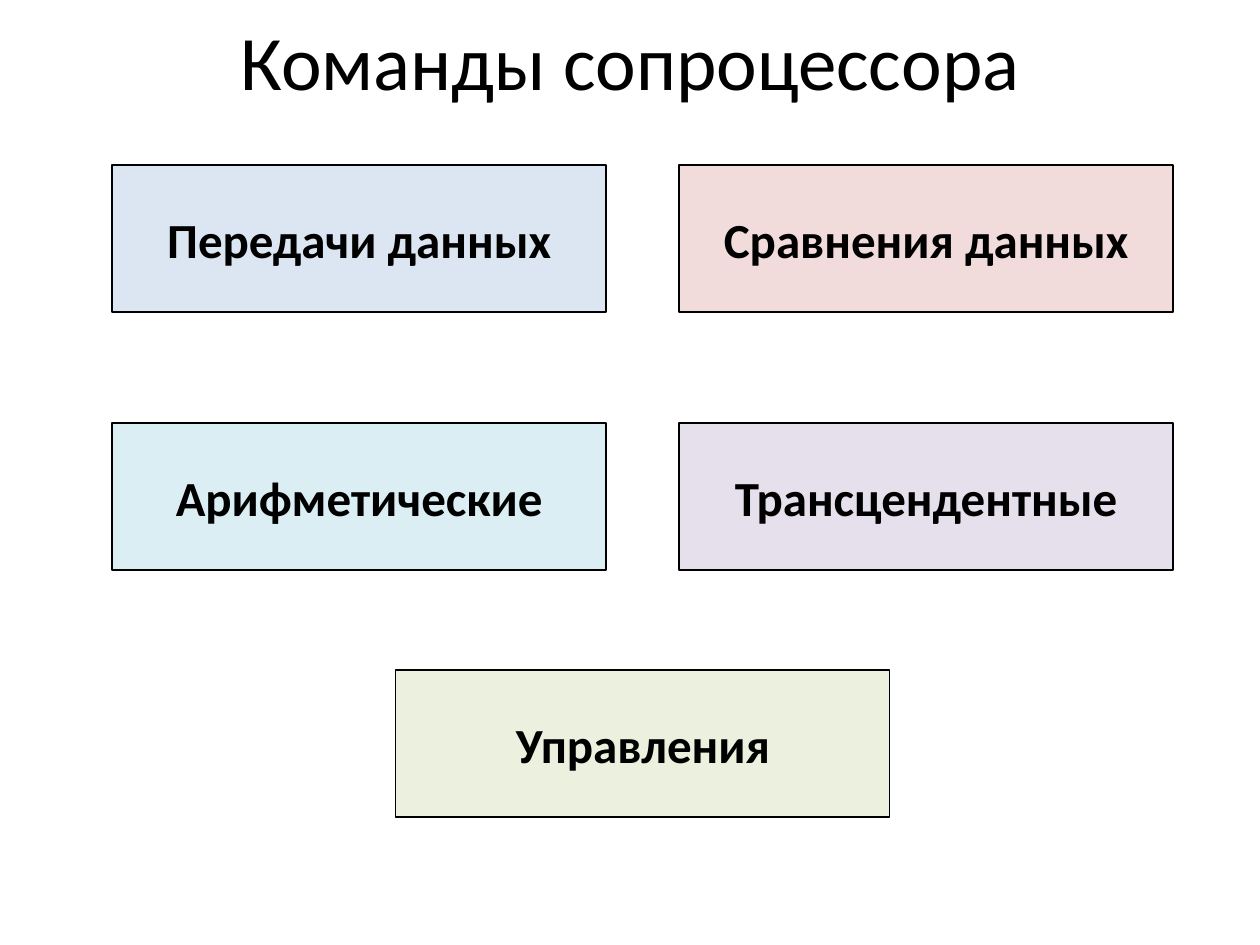
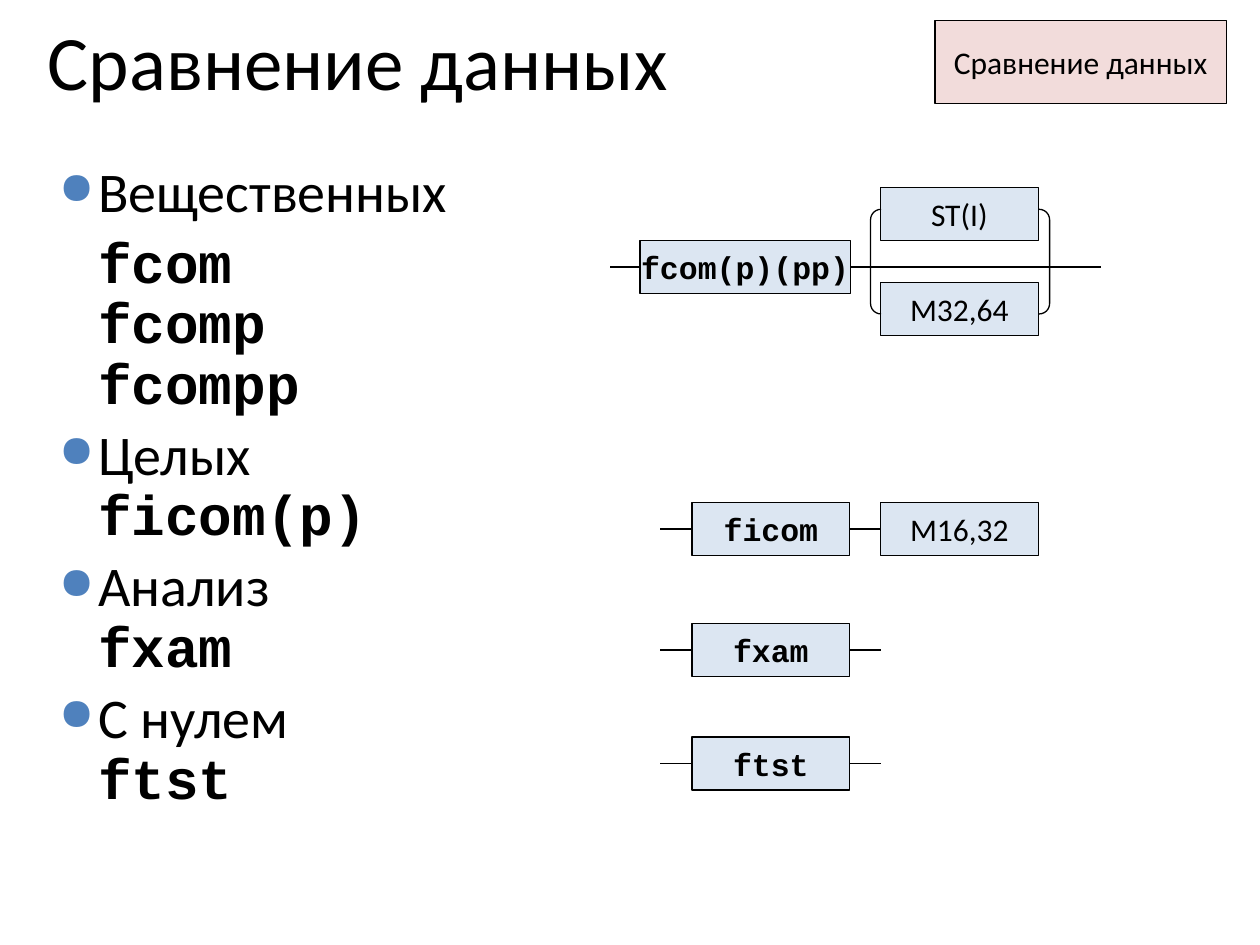
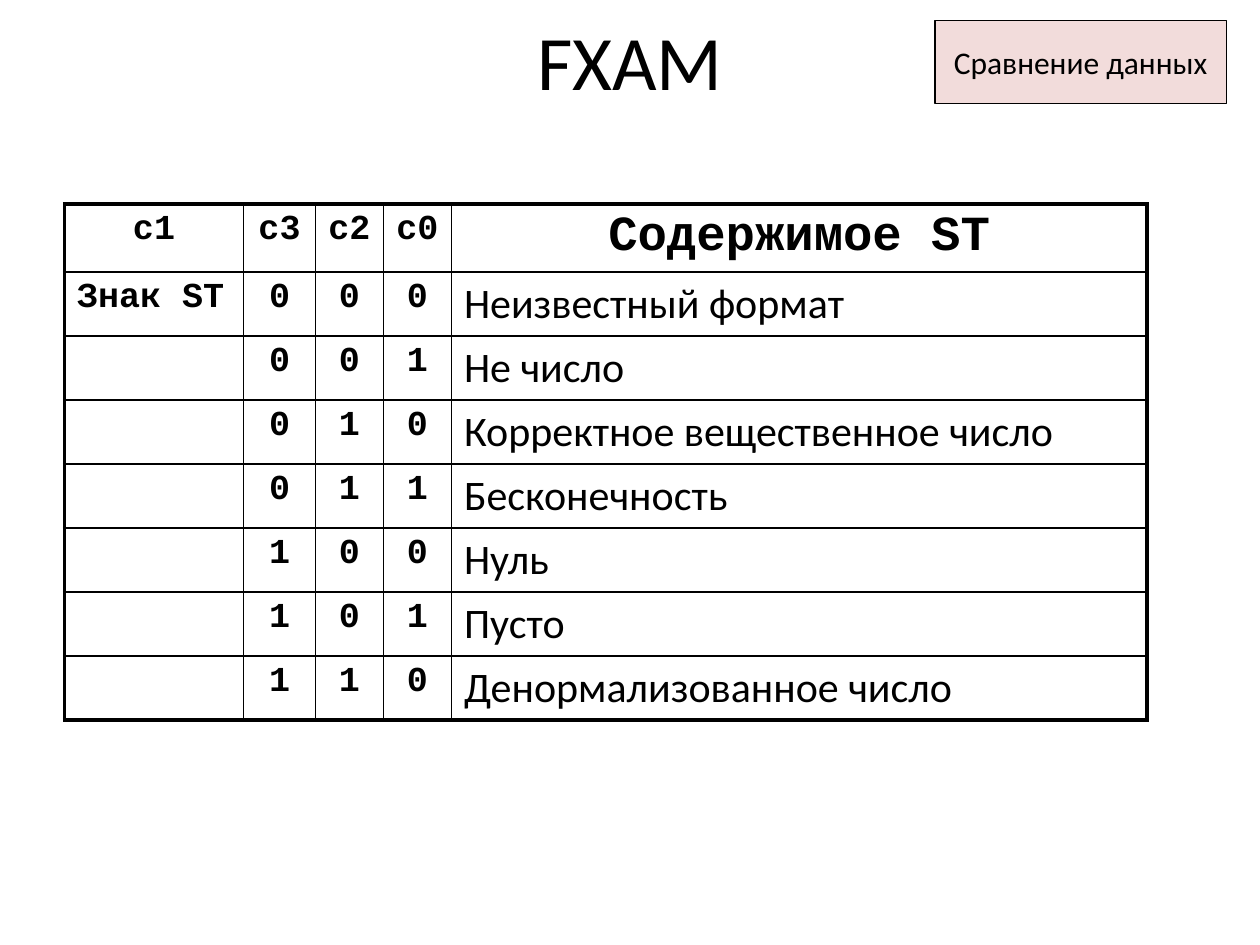
from pptx import Presentation
from pptx.dml.color import RGBColor
from pptx.enum.shapes import MSO_CONNECTOR, MSO_SHAPE
from pptx.enum.text import MSO_ANCHOR, PP_ALIGN
from pptx.oxml import parse_xml
from pptx.oxml.ns import nsdecls
from pptx.util import Cm, Pt

LEFT, CENTER = PP_ALIGN.LEFT, PP_ALIGN.CENTER
TOP, MIDDLE = MSO_ANCHOR.TOP, MSO_ANCHOR.MIDDLE
RECTANGLE, BRACKETS = MSO_SHAPE.RECTANGLE, MSO_SHAPE.DOUBLE_BRACKET
STRAIGHT = MSO_CONNECTOR.STRAIGHT
LEFT_SIDE, RIGHT_SIDE = 1, 3

COLORS = {
    "black": "000000",
    "blue": "DCE6F2",
    "pink": "F2DCDB",
    "cyan": "DBEEF4",
    "violet": "E6E0EC",
    "green": "EBF1DE",
    "bullet": "4F81BD",
}
TITLE = {"name": "Calibri", "size": Pt(44), "bold": False}
GROUP = {"name": "Calibri", "size": Pt(28), "bold": True}
TOPIC = {"name": "Calibri", "size": Pt(32), "bold": False}
COMMAND = {"name": "Courier New", "size": Pt(32), "bold": True}
LABEL = {"name": "Calibri", "size": Pt(18), "bold": False}
OPCODE = {"name": "Courier New", "size": Pt(18), "bold": True}
HEADING = {"name": "Courier New", "size": Pt(28), "bold": True}
FLAG = {"name": "Courier New", "size": Pt(20), "bold": True}
MEANING = {"name": "Calibri", "size": Pt(24), "bold": False}


def style(font, text_format):
    for attribute, value in text_format.items():
        setattr(font, attribute, value)
    font.color.rgb = RGBColor.from_string(COLORS["black"])


def add_box(slide, text, area, fill, text_format):
    box = slide.shapes.add_shape(RECTANGLE, *map(Cm, area))
    box.shadow.inherit = False
    box.fill.solid()
    box.fill.fore_color.rgb = RGBColor.from_string(COLORS[fill])
    box.line.color.rgb = RGBColor.from_string(COLORS["black"])
    box.line.width = Pt(0.75)
    frame = box.text_frame
    frame.word_wrap = False
    frame.vertical_anchor = MIDDLE
    paragraph = frame.paragraphs[0]
    paragraph.alignment = CENTER
    run = paragraph.add_run()
    run.text = text
    style(run.font, text_format)
    return box


prs = Presentation()
prs.slide_width, prs.slide_height = Cm(25.4), Cm(19.05)

# Slides with their titles
slides = []
for heading, alignment in (
    ("Команды сопроцессора", CENTER),
    ("Сравнение данных", LEFT),
    ("FXAM", CENTER),
):
    slide = prs.slides.add_slide(prs.slide_layouts[5])
    title = slide.shapes.title
    title.left, title.top, title.width, title.height = map(Cm, (0.71, 0.15, 24, 3.18))
    title.text_frame.vertical_anchor = TOP
    paragraph = title.text_frame.paragraphs[0]
    paragraph.alignment = alignment
    run = paragraph.add_run()
    run.text = heading
    style(run.font, TITLE)
    slides.append(slide)
groups_slide, compare_slide, fxam_slide = slides

# Section tag in the corner
for slide in (compare_slide, fxam_slide):
    add_box(slide, "Сравнение данных", (18.85, 0.41, 5.87, 1.68), "pink", LABEL)

# Slide 1: command groups
for name, left, top, fill in (
    ("Передачи данных", 2.26, 3.33, "blue"),
    ("Сравнения данных", 13.69, 3.33, "pink"),
    ("Арифметические", 2.26, 8.53, "cyan"),
    ("Трансцендентные", 13.69, 8.53, "violet"),
    ("Управления", 7.98, 13.51, "green"),
):
    add_box(groups_slide, name, (left, top, 9.96, 2.96), fill, GROUP)

# Slide 2: list of comparison commands
command_list = compare_slide.shapes.add_textbox(*map(Cm, (0.71, 3.18, 10.6, 14.17)))
frame = command_list.text_frame
frame.word_wrap = True
for number, (topic, commands) in enumerate((
    ("Вещественных", []),
    (None, ["fcom", "fcomp", "fcompp"]),
    ("Целых", ["ficom(p)"]),
    ("Анализ", ["fxam"]),
    ("С нулем", ["ftst"]),
)):
    paragraph = frame.add_paragraph() if number else frame.paragraphs[0]
    paragraph.line_spacing = 0.9
    paragraph.space_before = Pt(6)
    properties = paragraph._p.get_or_add_pPr()
    properties.set("marL", str(Cm(1.02)))
    properties.set("indent", str(Cm(-0.79) if topic else 0))
    if topic:
        for bullet in (
            f'<a:buClr {nsdecls("a")}><a:srgbClr val="{COLORS["bullet"]}"/></a:buClr>',
            f'<a:buSzPct {nsdecls("a")} val="80000"/>',
            f'<a:buChar {nsdecls("a")} char="●"/>',
        ):
            properties.append(parse_xml(bullet))
    lines = [(topic, TOPIC)] if topic else []
    lines += [(command, COMMAND) for command in commands]
    for position, (text, text_format) in enumerate(lines):
        if position:
            paragraph.add_line_break()
        run = paragraph.add_run()
        run.text = text
        style(run.font, text_format)

# Syntax diagram nodes
nodes = {}
for text, left, top, width, text_format in (
    ("fcom(p)(pp)", 12.9, 4.85, 4.24, OPCODE),
    ("ST(I)", 17.75, 3.78, 3.18, LABEL),
    ("M32,64", 17.75, 5.69, 3.18, LABEL),
    ("ficom", 13.95, 10.13, 3.18, OPCODE),
    ("M16,32", 17.75, 10.13, 3.18, LABEL),
    ("fxam", 13.95, 12.57, 3.18, OPCODE),
    ("ftst", 13.95, 14.86, 3.18, OPCODE),
):
    nodes[text] = add_box(compare_slide, text, (left, top, width, 1.07), "blue", text_format)

# Brackets around the alternative operands
operand_brackets = compare_slide.shapes.add_shape(BRACKETS, *map(Cm, (17.55, 4.22, 3.61, 2.11)))
operand_brackets.shadow.inherit = False
operand_brackets.adjustments[0] = 0.1
operand_brackets.fill.background()
operand_brackets.line.color.rgb = RGBColor.from_string(COLORS["black"])
operand_brackets.line.width = Pt(0.75)

# Lines into and out of the nodes
for source, side, end, target in (
    ("fcom(p)(pp)", LEFT_SIDE, 12.29, None),
    ("fcom(p)(pp)", RIGHT_SIDE, 22.2, None),
    ("ficom", LEFT_SIDE, 13.31, None),
    ("ficom", RIGHT_SIDE, 17.75, "M16,32"),
    ("fxam", LEFT_SIDE, 13.31, None),
    ("fxam", RIGHT_SIDE, 17.75, None),
    ("ftst", LEFT_SIDE, 13.31, None),
    ("ftst", RIGHT_SIDE, 17.75, None),
):
    node = nodes[source]
    start = node.left if side == LEFT_SIDE else node.left + node.width
    level = node.top + node.height // 2
    link = compare_slide.shapes.add_connector(STRAIGHT, start, level, Cm(end), level)
    link.begin_connect(node, side)
    if target:
        link.end_connect(nodes[target], LEFT_SIDE)
    link.line.color.rgb = RGBColor.from_string(COLORS["black"])
    link.line.width = Pt(0.75)
    link._element.spPr.append(parse_xml(f'<a:effectLst {nsdecls("a")}/>'))

# Slide 3: condition codes set by FXAM
codes = [
    ("c1", "c3", "c2", "c0", "Содержимое ST"),
    ("Знак ST", "0", "0", "0", "Неизвестный формат"),
    ("", "0", "0", "1", "Не число"),
    ("", "0", "1", "0", "Корректное вещественное число"),
    ("", "0", "1", "1", "Бесконечность"),
    ("", "1", "0", "0", "Нуль"),
    ("", "1", "0", "1", "Пусто"),
    ("", "1", "1", "0", "Денормализованное число"),
]
column_widths = (3.61, 1.45, 1.37, 1.37, 14.02)
last_row, last_column = len(codes) - 1, len(column_widths) - 1
code_table = fxam_slide.shapes.add_table(
    len(codes), len(column_widths), Cm(1.3), Cm(4.11), Cm(sum(column_widths)), Cm(10.4)
).table
code_table.first_row = code_table.horz_banding = False
for column, width in zip(code_table.columns, column_widths):
    column.width = Cm(width)
for r, values in enumerate(codes):
    code_table.rows[r].height = Cm(1.29 if r else 1.37)
    for c, value in enumerate(values):
        cell = code_table.cell(r, c)
        outer_edges = {"L": c == 0, "R": c == last_column, "T": r == 0, "B": r == last_row}
        for edge, is_outer in outer_edges.items():
            thickness = Pt(2.25 if is_outer else 1)
            cell._tc.get_or_add_tcPr().append(parse_xml(
                f'<a:ln{edge} {nsdecls("a")} w="{thickness}"><a:solidFill>'
                f'<a:srgbClr val="{COLORS["black"]}"/></a:solidFill></a:ln{edge}>'
            ))
        cell.fill.background()
        paragraph = cell.text_frame.paragraphs[0]
        paragraph.alignment = CENTER if r == 0 or 0 < c < last_column else LEFT
        text_format = FLAG
        if c == last_column:
            text_format = MEANING if r else HEADING
        if value:
            run = paragraph.add_run()
            run.text = value
            style(run.font, text_format)

prs.save("out.pptx")
